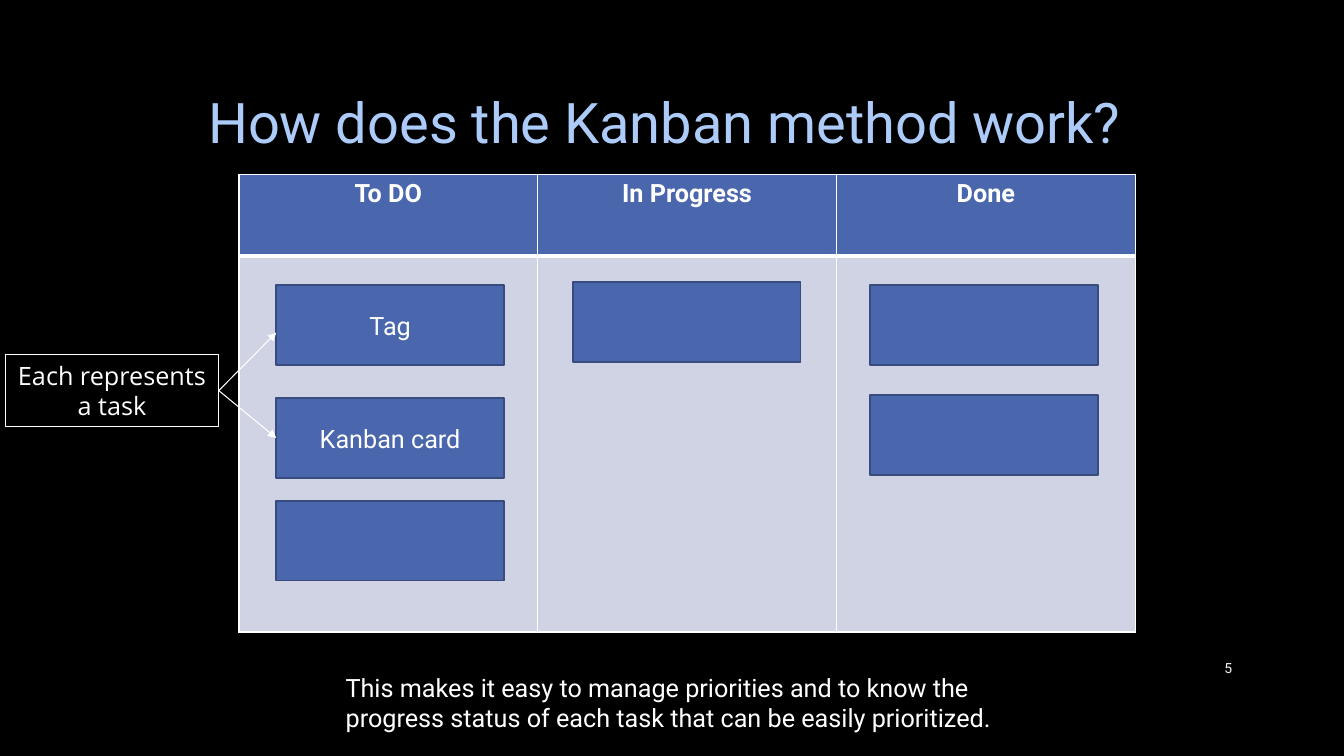
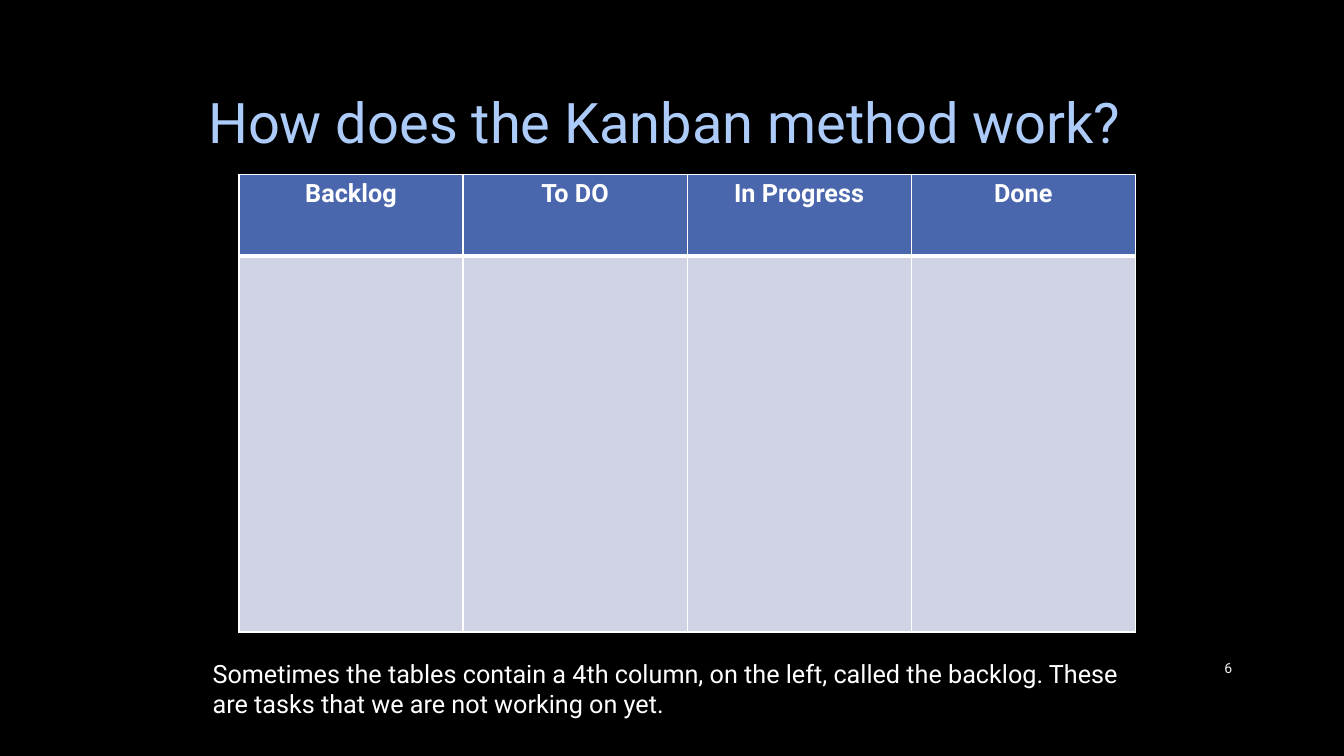
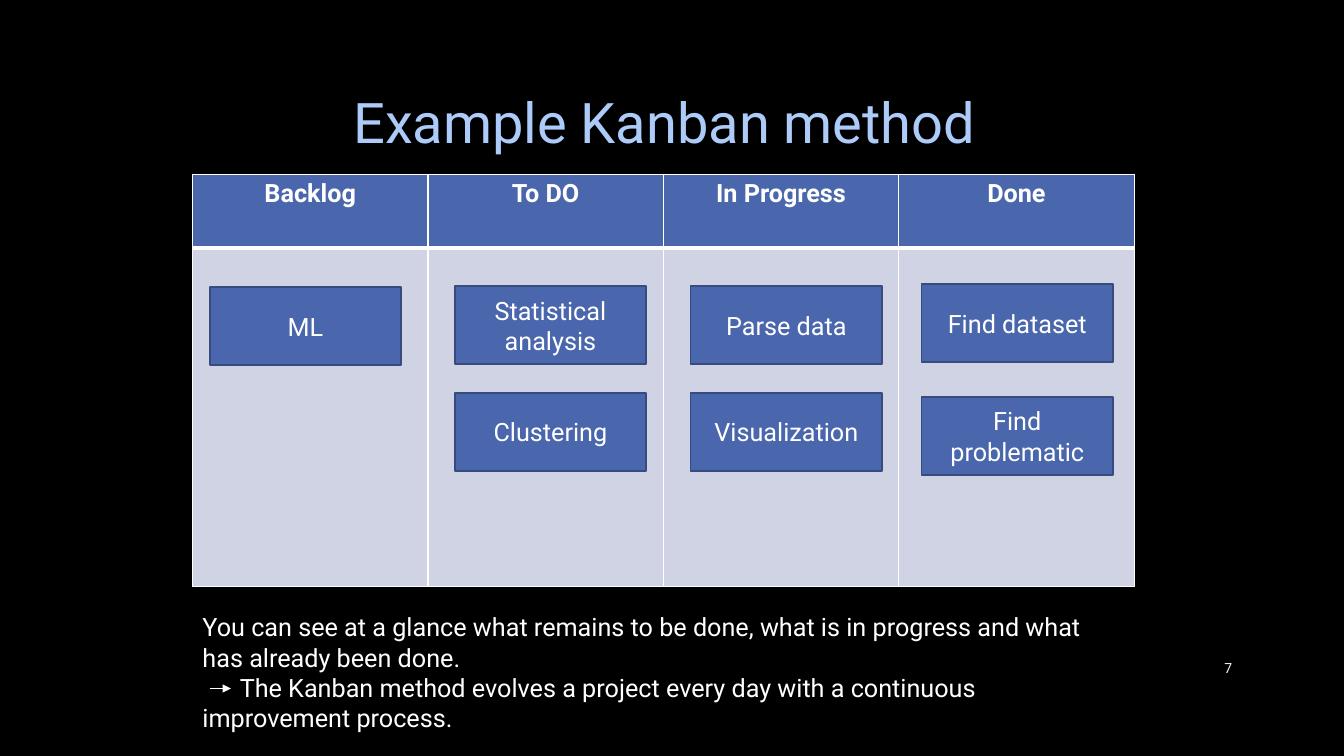
"""Build three slides that explain the Kanban method with task boards."""
import pptx
import pptx.dml.color
import pptx.enum.shapes
import pptx.enum.text
import pptx.oxml.ns
import pptx.util
from lxml import etree

Inches = pptx.util.Inches
Pt = pptx.util.Pt
qn = pptx.oxml.ns.qn
ALIGN = pptx.enum.text.PP_ALIGN
ANCHOR = pptx.enum.text.MSO_ANCHOR

COLORS = {
    "background": "000000",
    "title": "ACCBF9",
    "text": "FFFFFF",
    "number": "F2F2F2",
    "accent": "4A66AC",
    "card_edge": "374B7F",
    "column": "D0D3E3",
}
BODY_FONT = "Roboto"
NOTE_FONT = "Open Sans"
BOARD_TOP = 1.73
STAGES = ["Backlog", "To DO", "In Progress", "Done"]
METHOD_TITLE = "How does the Kanban method work?"


def rgb(name):
    return pptx.dml.color.RGBColor.from_string(COLORS[name])


def style(paragraph, size=18, color="text", align=ALIGN.LEFT, font=BODY_FONT, bold=False):
    paragraph.alignment = align
    paragraph.font.name = font
    paragraph.font.size = Pt(size)
    paragraph.font.bold = bold
    paragraph.font.color.rgb = rgb(color)


def add_text(slide, box, text, anchor=ANCHOR.TOP, **look):
    frame = slide.shapes.add_textbox(*map(Inches, box)).text_frame
    frame.word_wrap = True
    frame.vertical_anchor = anchor
    frame.text = text
    for paragraph in frame.paragraphs:
        style(paragraph, **look)
    return frame


def add_slide(prs, title, number):
    slide = prs.slides.add_slide(prs.slide_layouts[6])
    heading = add_text(slide, (1, 0.67, 11.32, 1.06), title, ANCHOR.MIDDLE,
                       size=40, color="title", align=ALIGN.CENTER)
    heading.margin_right = Inches(0.24)
    add_text(slide, (11.5, 6.43, 0.82, 0.4), str(number), ANCHOR.MIDDLE,
             size=10, color="number", align=ALIGN.RIGHT)
    return slide


def set_borders(cell, **widths):
    properties = cell._tc.get_or_add_tcPr()
    for index, side in enumerate("LRTB"):
        border = etree.Element(qn("a:ln" + side), w=str(Pt(widths.get(side, 1))))
        fill = etree.SubElement(border, qn("a:solidFill"))
        etree.SubElement(fill, qn("a:srgbClr"), val=COLORS["text"])
        properties.insert(index, border)


def add_board(slide, stages, left, width, row_heights):
    frame = slide.shapes.add_table(2, len(stages), Inches(left), Inches(BOARD_TOP),
                                   Inches(width), Inches(sum(row_heights)))
    board = frame.table
    board.horz_banding = False
    for row, height in zip(board.rows, row_heights):
        row.height = Inches(height)
    for index, stage in enumerate(stages):
        board.columns[index].width = Inches(width / len(stages))
        header, body = board.cell(0, index), board.cell(1, index)
        for cell, color in ((header, "accent"), (body, "column")):
            cell.fill.solid()
            cell.fill.fore_color.rgb = rgb(color)
        set_borders(header, B=3)
        set_borders(body, T=3)
        header.text = stage
        style(header.text_frame.paragraphs[0], align=ALIGN.CENTER, bold=True)


def add_box(slide, box, text, edge, edge_width, fill=None, font=BODY_FONT):
    shape = slide.shapes.add_shape(pptx.enum.shapes.MSO_SHAPE.RECTANGLE, *map(Inches, box))
    shape.shadow.inherit = False
    if fill:
        shape.fill.solid()
        shape.fill.fore_color.rgb = rgb(fill)
    else:
        shape.fill.background()
    shape.line.color.rgb = rgb(edge)
    shape.line.width = Pt(edge_width)
    if text:
        shape.text_frame.text = text
        style(shape.text_frame.paragraphs[0], align=ALIGN.CENTER, font=font)
    return shape


def add_cards(slide, cards, width, height):
    return [add_box(slide, (left, top, width, height), text, "card_edge", 1.25, "accent")
            for text, left, top in cards]


def add_arrow(slide, start, end):
    arrow = slide.shapes.add_connector(pptx.enum.shapes.MSO_CONNECTOR.STRAIGHT,
                                       *map(Inches, start + end))
    arrow.line.color.rgb = rgb("text")
    arrow.line.width = Pt(0.75)
    properties = arrow.element.spPr
    etree.SubElement(properties.find(qn("a:ln")), qn("a:tailEnd"), type="triangle")
    etree.SubElement(properties, qn("a:effectLst"))
    return arrow


def add_method_slide(prs):
    slide = add_slide(prs, METHOD_TITLE, 5)
    add_board(slide, STAGES[1:], 2.37, 8.89, (0.81, 3.73))
    add_text(slide, (3.33, 6.62, 6.67, 0.71),
             "This makes it easy to manage priorities and to know the progress "
             "status of each task that can be easily prioritized.")
    cards = add_cards(slide, [
        ("Tag", 2.74, 2.83), ("Kanban card", 2.74, 3.95), ("", 2.74, 4.97),
        ("", 5.68, 2.8),
        ("", 8.63, 2.83), ("", 8.63, 3.92),
    ], 2.26, 0.79)
    task_note = add_box(slide, (0.05, 3.52, 2.12, 0.71), "Each represents a task",
                        "text", 0.75, font=NOTE_FONT)
    tag_arrow = add_arrow(slide, (2.17, 3.87), (2.74, 3.3))
    card_arrow = add_arrow(slide, (2.17, 3.87), (2.74, 4.35))
    for arrow in (tag_arrow, card_arrow):
        arrow.begin_connect(task_note, 3)
    card_arrow.end_connect(cards[1], 1)


def add_backlog_slide(prs):
    slide = add_slide(prs, METHOD_TITLE, 6)
    add_board(slide, STAGES, 2.37, 8.89, (0.81, 3.73))
    add_text(slide, (2.01, 6.48, 9.25, 0.71),
             "Sometimes the tables contain a 4th column, on the left, called the backlog. "
             "These are tasks that we are not working on yet.")


def add_example_slide(prs):
    slide = add_slide(prs, "Example Kanban method", 7)
    add_board(slide, STAGES, 1.91, 9.34, (0.73, 3.36))
    add_cards(slide, [
        ("ML", 2.08, 2.85),
        ("Statistical analysis", 4.51, 2.84), ("Clustering", 4.51, 3.9),
        ("Parse data", 6.85, 2.84), ("Visualization", 6.85, 3.9),
        ("Find dataset", 9.14, 2.82), ("Find problematic", 9.14, 3.94),
    ], 1.9, 0.77)
    summary = add_text(
        slide, (1.91, 6.02, 9.34, 1.31),
        "You can see at a glance what remains to be done, what is in progress "
        "and what has already been done.\n"
        "The Kanban method evolves a project every day with a continuous "
        "improvement process.")
    conclusion = summary.paragraphs[1]._p.get_or_add_pPr()
    conclusion.set("marL", "0")
    conclusion.set("indent", str(Inches(0.37)))
    add_arrow(slide, (2.08, 6.83), (2.29, 6.83))


def main():
    prs = pptx.Presentation()
    prs.slide_width, prs.slide_height = Inches(13.33), Inches(7.5)
    backdrop = prs.slide_master.background.fill
    backdrop.solid()
    backdrop.fore_color.rgb = rgb("background")
    add_method_slide(prs)
    add_backlog_slide(prs)
    add_example_slide(prs)
    prs.save("out.pptx")


if __name__ == "__main__":
    main()
